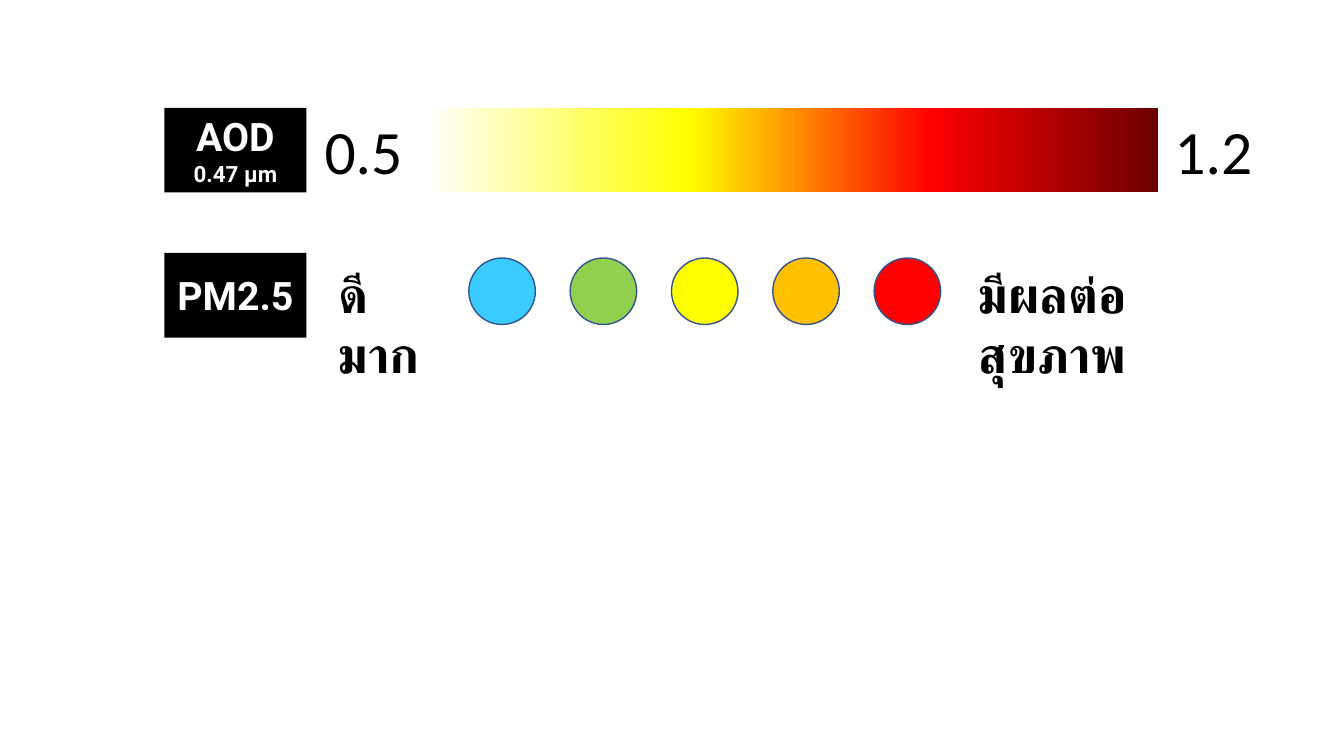
from lxml import etree
from pptx import Presentation
from pptx.dml.color import RGBColor
from pptx.enum.shapes import MSO_SHAPE
from pptx.enum.text import MSO_ANCHOR, MSO_AUTO_SIZE, PP_ALIGN
from pptx.oxml.ns import qn
from pptx.util import Inches, Pt

RECT, OVAL = MSO_SHAPE.RECTANGLE, MSO_SHAPE.OVAL
TOP, MIDDLE = MSO_ANCHOR.TOP, MSO_ANCHOR.MIDDLE
LEFT, CENTER = PP_ALIGN.LEFT, PP_ALIGN.CENTER
GROW, FIXED = MSO_AUTO_SIZE.SHAPE_TO_FIT_TEXT, MSO_AUTO_SIZE.NONE

# Content
COLORS = {
    "black": "000000", "white": "FFFFFF", "edge": "325491",
    "blue": "3BCCFF", "green": "92D050", "yellow": "FFFF00",
    "orange": "FFC000", "red": "FF0000", "maroon": "6B0000",
}
SCALE = [(0, "white"), (36, "yellow"), (69, "red"), (100, "maroon")]
LEVELS = ["blue", "green", "yellow", "orange", "red"]
AOD_Y, PM_Y, DOT_Y, ROW_H = 1.07, 2.51, 2.56, 0.84
TAGS = [  # top, lines of (text, size), anchor
    (AOD_Y, [("AOD", 28), ("0.47 μm", 16)], TOP),
    (PM_Y, [("PM2.5", 28)], MIDDLE),
]
LABELS = [  # text, left, top, width, height, size, bold, wrap
    ("0.5", 3.12, AOD_Y, 0.98, ROW_H, 44, False, False),
    ("1.2", 11.55, AOD_Y, 0.98, ROW_H, 44, False, False),
    ("ดีมาก", 3.26, DOT_Y, 1.07, 0.71, 36, True, True),
    ("มีผลต่อสุขภาพ", 9.61, DOT_Y, 2.47, 0.71, 36, True, True),
]
DOT_X, DOT_END, DOT = 4.65, 8.67, 0.66

deck = Presentation()
deck.slide_width, deck.slide_height = Inches(13.33), Inches(7.5)
slide = deck.slides.add_slide(deck.slide_layouts[6])


def paint(color):
    return RGBColor.from_string(COLORS[color])


def add_shape(kind, box, fill, line=None):
    shape = slide.shapes.add_shape(kind, *map(Inches, box))
    shape.shadow.inherit = False
    shape.fill.solid()
    shape.fill.fore_color.rgb = paint(fill)
    if line:
        shape.line.color.rgb = paint(line)
        shape.line.width = Pt(1)
    else:
        shape.line.fill.background()
    return shape


def write(shape, lines, color, align, font, frame):
    text = shape.text_frame
    for key, value in frame.items():
        setattr(text, key, value)
    for i, (words, size) in enumerate(lines):
        para = text.paragraphs[0] if i == 0 else text.add_paragraph()
        para.alignment = align
        run = para.add_run()
        run.text = words
        run.font.size = Pt(size)
        run.font.color.rgb = paint(color)
        for key, value in font.items():
            setattr(run.font, key, value)


# Colour scale with four stops
bar = add_shape(RECT, (4.21, AOD_Y, 7.28, ROW_H), "white")
bar.fill.gradient()
bar.fill.gradient_angle = 0
stops = bar.element.spPr.find(qn("a:gradFill")).find(qn("a:gsLst"))
for stop in list(stops):
    stops.remove(stop)
for place, color in SCALE:
    stop = etree.SubElement(stops, qn("a:gs"), pos=str(place * 1000))
    etree.SubElement(stop, qn("a:srgbClr"), val=COLORS[color])

# Black row tags
for top, lines, anchor in TAGS:
    tag = add_shape(RECT, (1.63, top, 1.41, ROW_H), "black")
    write(tag, lines, "white", CENTER, {"name": "Roboto", "bold": True},
          {"word_wrap": True, "vertical_anchor": anchor, "auto_size": FIXED})

# Evenly spaced level dots
step = (DOT_END - DOT_X) / (len(LEVELS) - 1)
for i, color in enumerate(LEVELS):
    add_shape(OVAL, (DOT_X + i * step, DOT_Y, DOT, DOT), color, "edge")

# End labels
for words, x, y, w, h, size, bold, wrap in LABELS:
    label = slide.shapes.add_textbox(*map(Inches, (x, y, w, h)))
    write(label, [(words, size)], "black", LEFT,
          {"name": "Calibri", "bold": bold},
          {"word_wrap": wrap, "vertical_anchor": TOP, "auto_size": GROW})

deck.save("out.pptx")
